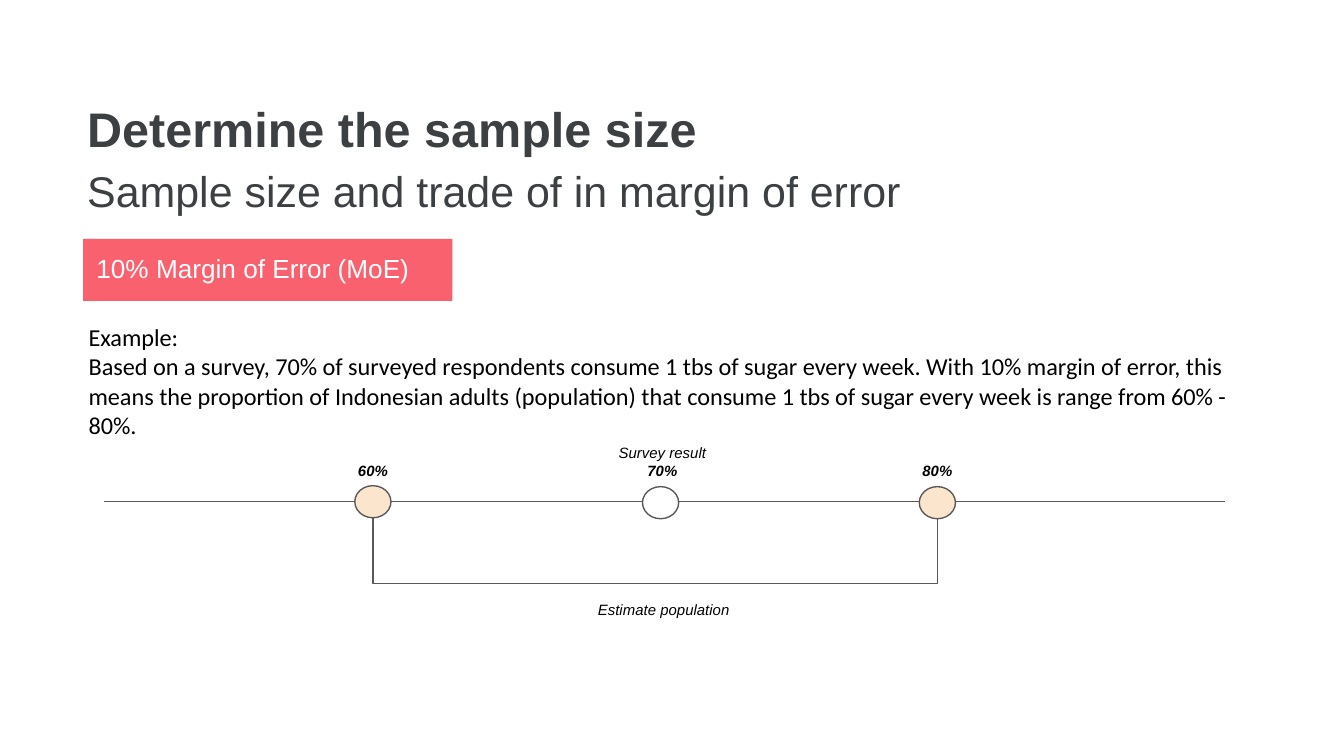
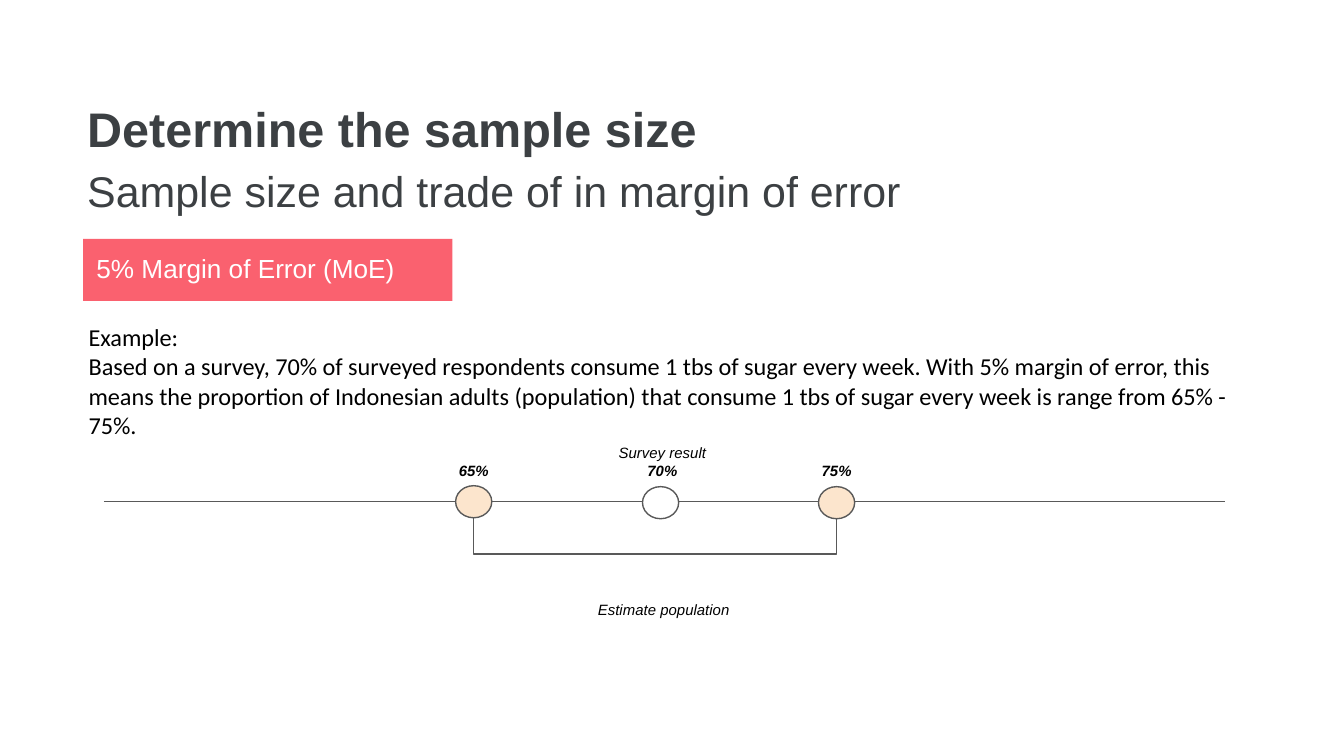
from lxml import etree
from pptx import Presentation
from pptx.dml.color import RGBColor
from pptx.enum.shapes import MSO_CONNECTOR, MSO_SHAPE
from pptx.enum.text import MSO_ANCHOR, PP_ALIGN
from pptx.oxml.ns import qn
from pptx.util import Pt

STRAIGHT, ELBOW = MSO_CONNECTOR.STRAIGHT, MSO_CONNECTOR.ELBOW
RECT, OVAL = MSO_SHAPE.RECTANGLE, MSO_SHAPE.OVAL
TOP, MIDDLE = MSO_ANCHOR.TOP, MSO_ANCHOR.MIDDLE
LEFT, CENTER = PP_ALIGN.LEFT, PP_ALIGN.CENTER

INK, BLACK, WHITE = "3C4043", "000000", "FFFFFF"
CORAL, PEACH, GRAY = "FA616F", "FCE5CD", "595959"

TITLE = "Determine the sample size"
SUBTITLE = "Sample size and trade of in margin of error"
EXAMPLE = (
    "Based on a survey, 70% of surveyed respondents consume 1 tbs of sugar every week. "
    "With {moe}% margin of error, this means the proportion of Indonesian adults (population) "
    "that consume 1 tbs of sugar every week is range from {low}% - {high}%."
)
RESULT = 70
MARGINS = [
    {"moe": 10, "reach": 151.2, "drop": 34.4},
    {"moe": 5, "reach": 97.2, "drop": 19},
]

AXIS_Y, AXIS_LEFT, AXIS_RIGHT = 268.6, 55.6, 656
RANGE_X, RESULT_X = 351, 353.9
DOT_W, DOT_H, DOT_TOP, DOT_STEP = 19.4, 17.2, 260.2, 0.5
LABEL_W, LABEL_H = 90.8, 20.8


def rgb(color):
    return RGBColor.from_string(color)


def write(s, paragraphs, font="Arial", color=BLACK, anchor=TOP, align=LEFT, spacing=None):
    tf = s.text_frame
    tf.word_wrap = True
    tf.vertical_anchor = anchor
    tf.margin_left = tf.margin_right = tf.margin_top = tf.margin_bottom = Pt(7.2)
    for i, (text, size, bold, italic) in enumerate(paragraphs):
        p = tf.add_paragraph() if i else tf.paragraphs[0]
        p.alignment = align
        if spacing:
            p.line_spacing = spacing
        r = p.add_run()
        r.text = text
        r.font.name, r.font.size = font, Pt(size)
        r.font.bold, r.font.italic = bold, italic
        r.font.color.rgb = rgb(color)


def text_box(slide, box, paragraphs, **style):
    write(slide.shapes.add_textbox(*map(Pt, box)), paragraphs, **style)


def label(slide, center, top, *lines):
    text_box(slide, (center - LABEL_W / 2, top, LABEL_W, LABEL_H),
             [(text, 8, bold, True) for text, bold in lines], anchor=MIDDLE, align=CENTER)


def shape(slide, kind, box, fill, line=None):
    s = slide.shapes.add_shape(kind, *map(Pt, box))
    s.shadow.inherit = False
    s.fill.solid()
    s.fill.fore_color.rgb = rgb(fill)
    if line:
        s.line.color.rgb = rgb(line)
        s.line.width = Pt(0.75)
    else:
        s.line.fill.background()
    return s


def dot(slide, center, top, fill):
    shape(slide, OVAL, (center - DOT_W / 2, top, DOT_W, DOT_H), fill, GRAY)


def connector(slide, kind, *ends):
    c = slide.shapes.add_connector(kind, *map(Pt, ends))
    c.line.color.rgb = rgb(GRAY)
    c.line.width = Pt(0.75)
    etree.SubElement(c.element.spPr, qn("a:effectLst"))
    return c


def bracket(slide, reach, drop):
    half = DOT_STEP / 2
    y = DOT_TOP + DOT_H + half
    c = connector(slide, ELBOW, RANGE_X + half, y - reach, RANGE_X - half, y + reach)
    c.element.spPr.find(qn("a:xfrm")).set("rot", "16200000")
    guides = c.element.spPr.find(qn("a:prstGeom")).find(qn("a:avLst"))
    etree.SubElement(guides, qn("a:gd"), name="adj1", fmla=f"val {round(drop / DOT_STEP * 100000)}")


def build(prs, moe, reach, drop):
    slide = prs.slides.add_slide(prs.slide_layouts[6])
    low, high = RESULT - moe, RESULT + moe
    low_x, high_x = RANGE_X - reach, RANGE_X + reach

    text_box(slide, (39.6, 41, 472.4, 94.4),
             [(TITLE, 26, True, False), (SUBTITLE, 23, False, False)], color=INK, spacing=1.15)
    connector(slide, STRAIGHT, AXIS_LEFT, AXIS_Y, AXIS_RIGHT, AXIS_Y)
    write(shape(slide, RECT, (44.6, 128, 197.8, 33.2), CORAL),
          [(f"{moe}% Margin of Error (MoE)", 14, False, False)], color=WHITE)

    dot(slide, RESULT_X, DOT_TOP + DOT_STEP, WHITE)
    label(slide, RESULT_X + 1, 236.8, ("Survey result", False), (f"{RESULT}%", True))
    dot(slide, low_x, DOT_TOP, PEACH)
    dot(slide, high_x, DOT_TOP + DOT_STEP, PEACH)
    bracket(slide, reach, drop)
    label(slide, RESULT_X + 1.7, 316.2, ("Estimate population", False))
    label(slide, low_x, 241.8, (f"{low}%", True))
    label(slide, high_x, 241.8, (f"{high}%", True))

    example = EXAMPLE.format(moe=moe, low=low, high=high)
    text_box(slide, (40.4, 165.6, 646.6, 54.8),
             [(text, 13, False, False) for text in ("Example:", example)], font="Calibri")


def main():
    prs = Presentation()
    prs.slide_width, prs.slide_height = Pt(720), Pt(405)
    for margin in MARGINS:
        build(prs, **margin)
    prs.save("out.pptx")


if __name__ == "__main__":
    main()
